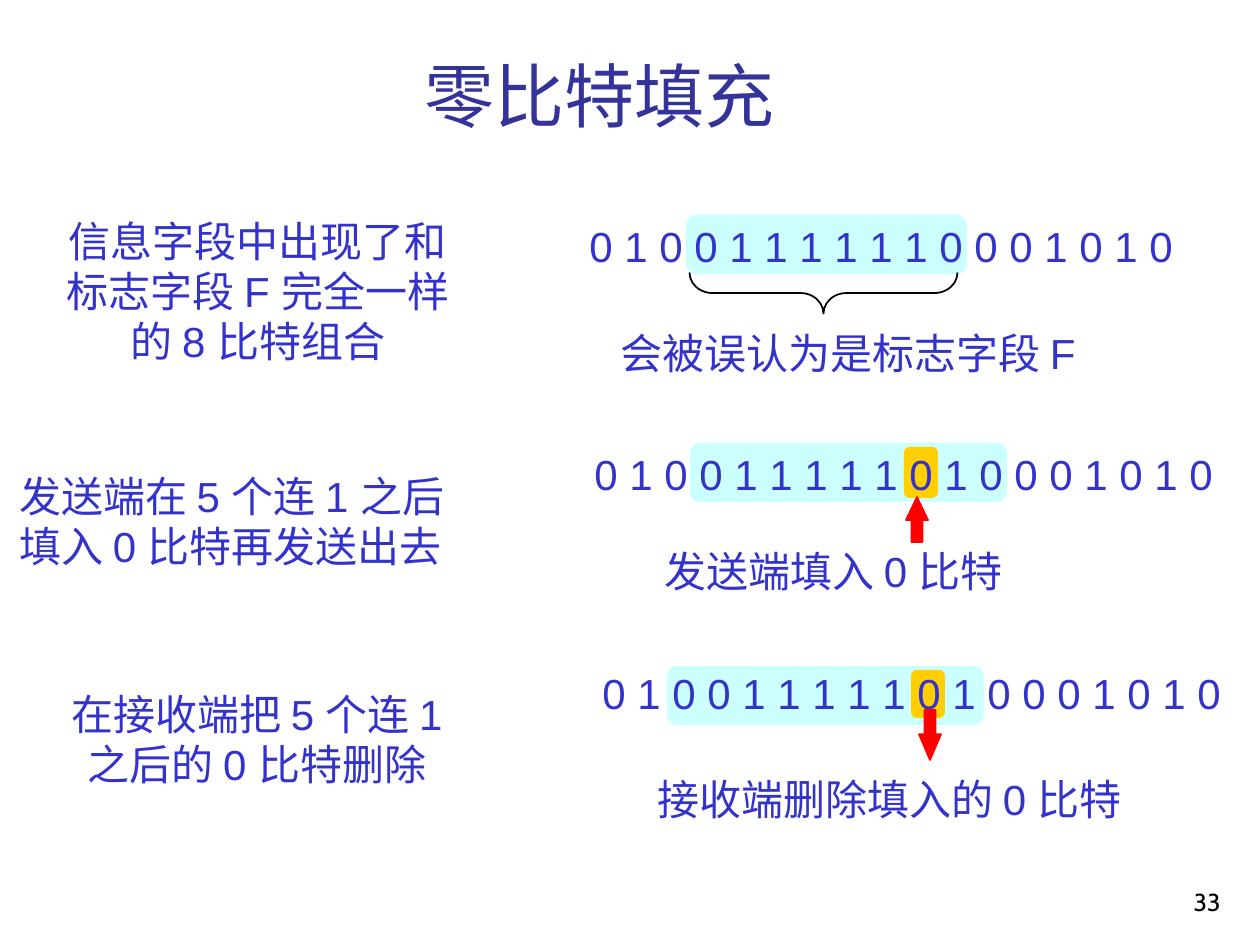
"""Builds the slide that explains zero-bit stuffing in three steps."""
from pptx import Presentation
from pptx import util as u
from pptx.dml.color import RGBColor
from pptx.enum import shapes, text

COLORS = {
    "title": "333399",
    "body": "3333CC",
    "band": "CCFFFF",
    "stuffed": "FFCF01",
    "arrow": "FF0000",
    "black": "000000",
}
EMU_PER_PX = 914400 / 126
SHAPE = shapes.MSO_SHAPE
ALIGN = text.PP_ALIGN
AUTO_SIZE = text.MSO_AUTO_SIZE


def px(length):
    return u.Emu(round(length * EMU_PER_PX))


def format_paragraph(paragraph, content, size=24, font="Arial", color="body", align=ALIGN.LEFT):
    paragraph.alignment = align
    run = paragraph.add_run()
    run.text = content
    run.font.size = u.Pt(size)
    run.font.name = font
    run.font.color.rgb = RGBColor.from_string(COLORS[color])


class SlideBuilder:
    def __init__(self, slide):
        self.slide = slide

    def text(self, box, *lines, wrap=False, anchor=text.MSO_ANCHOR.TOP, **style):
        frame = self.slide.shapes.add_textbox(*map(px, box)).text_frame
        frame.word_wrap = wrap
        frame.auto_size = AUTO_SIZE.NONE if wrap else AUTO_SIZE.SHAPE_TO_FIT_TEXT
        frame.vertical_anchor = anchor
        for index, line in enumerate(lines):
            paragraph = frame.add_paragraph() if index else frame.paragraphs[0]
            format_paragraph(paragraph, line, **style)

    def shape(self, kind, box, fill=None, line=None, adjustments=(), rotation=0):
        shape = self.slide.shapes.add_shape(kind, *map(px, box))
        shape.shadow.inherit = False
        shape.rotation = rotation
        for index, value in enumerate(adjustments):
            shape.adjustments[index] = value
        if fill:
            shape.fill.solid()
            shape.fill.fore_color.rgb = RGBColor.from_string(COLORS[fill])
        else:
            shape.fill.background()
        if line:
            shape.line.color.rgb = RGBColor.from_string(COLORS[line])
            shape.line.width = u.Pt(1)
        else:
            shape.line.fill.background()

    def rounded(self, box, fill):
        self.shape(SHAPE.ROUNDED_RECTANGLE, box, fill, adjustments=[0.17])

    def arrow(self, kind, box, head):
        self.shape(kind, box, "arrow", "arrow", adjustments=[0.5, head])

    def brace(self, box):
        self.shape(SHAPE.LEFT_BRACE, box, line="black", adjustments=[0.56, 0.5], rotation=270)


def main():
    presentation = Presentation()
    presentation.slide_width, presentation.slide_height = px(1260), px(945)
    builder = SlideBuilder(presentation.slides.add_slide(presentation.slide_layouts[6]))

    builder.text((412, 46, 376, 97), "零比特填充", size=40, font="Cabin", color="title")

    bands = [(686, 215, 281, 59), (690, 443, 317, 59), (667, 666, 317, 59)]
    stuffed_bits = [(904, 447, 34, 51), (911, 670, 34, 48)]
    for box in bands:
        builder.rounded(box, "band")
    for box in stuffed_bits:
        builder.rounded(box, "stuffed")

    original_bits = "0 1 0 0 1 1 1 1 1 1 0 0 0 1 0 1 0"
    sent_bits = "0 1 0 0 1 1 1 1 1 0 1 0 0 0 1 0 1 0"
    bit_rows = [
        ((577, 214, 609, 63), original_bits),
        ((582, 442, 644, 63), sent_bits),
        ((590, 661, 644, 63), sent_bits),
    ]
    captions = [
        ((608, 321, 503, 63), "会被误认为是标志字段 F"),
        ((652, 539, 386, 63), "发送端填入 0 比特"),
        ((645, 767, 511, 63), "接收端删除填入的 0 比特"),
    ]
    for box, content in bit_rows + captions:
        builder.text(box, content)

    steps = [
        ((43, 209, 430, 164), ALIGN.CENTER, ("信息字段中出现了和", "标志字段 F 完全一样", "的 8 比特组合")),
        ((7, 464, 492, 113), ALIGN.LEFT, ("发送端在 5 个连 1 之后", "填入 0 比特再发送出去")),
        ((42, 682, 430, 113), ALIGN.CENTER, ("在接收端把 5 个连 1", "之后的 0 比特删除")),
    ]
    for box, align, lines in steps:
        builder.text(box, *lines, align=align)

    builder.brace((803, 159, 41, 268))
    builder.arrow(SHAPE.UP_ARROW, (906, 497, 22, 45), 1.05)
    builder.arrow(SHAPE.DOWN_ARROW, (919, 710, 22, 50), 1.17)

    builder.text((971, 860, 262, 63), "33", wrap=True, anchor=text.MSO_ANCHOR.BOTTOM,
                 size=14, font="Cabin", color="black", align=ALIGN.RIGHT)
    presentation.save("out.pptx")


if __name__ == "__main__":
    main()
